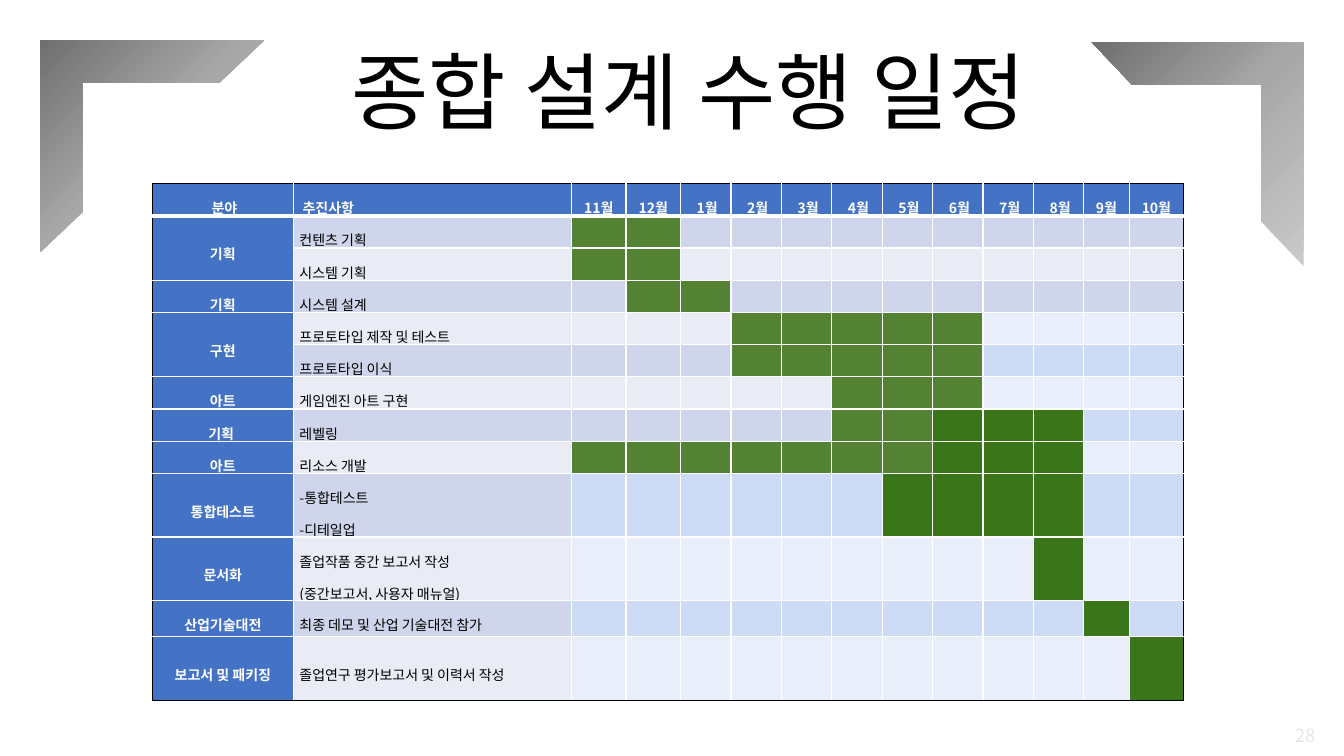
from lxml import etree
from pptx import Presentation
from pptx import util as u
from pptx.dml.color import RGBColor
from pptx.enum import shapes, text
from pptx.oxml import ns

FONT = "Noto Sans CJK KR"
BLUE, WHITE, BLACK = "4472C4", "FFFFFF", "000000"
LIGHT_GREEN, DARK_GREEN = "548235", "3B7519"
CENTER, JUSTIFY, RIGHT = text.PP_ALIGN.CENTER, text.PP_ALIGN.JUSTIFY, text.PP_ALIGN.RIGHT


def color(value):
    return RGBColor.from_string(value)


def write(frame, lines, align, spacing, size, shade, bold=False, latin=FONT):
    for index, line in enumerate(lines):
        paragraph = frame.paragraphs[0] if index == 0 else frame.add_paragraph()
        for name, value in {"alignment": align, "line_spacing": spacing}.items():
            setattr(paragraph, name, value)
        run = paragraph.add_run()
        run.text = line
        for name, value in {"name": latin, "size": u.Pt(size), "bold": bold}.items():
            setattr(run.font, name, value)
        run.font.color.rgb = color(shade)
        properties = run.font._element
        etree.SubElement(properties, ns.qn("a:ea")).set("typeface", FONT)


presentation = Presentation()
presentation.slide_width = u.Inches(13.33)
presentation.slide_height = u.Inches(7.5)
slide = presentation.slides.add_slide(presentation.slide_layouts[6])

for left, top, rotation in [(0.4, 0.4, 0), (10.77, 0.48, 90)]:
    corner = slide.shapes.add_shape(shapes.MSO_SHAPE.HALF_FRAME, u.Inches(left), u.Inches(top),
                                    u.Inches(2.22), u.Inches(2.1))
    corner.rotation = rotation
    corner.shadow.inherit = False
    corner.adjustments[0], corner.adjustments[1] = 0.2, 0.2
    corner.line.fill.background()
    corner.fill.gradient()
    gradient = corner.fill._xPr.find(ns.qn("a:gradFill"))
    gradient.set("rotWithShape", "0")
    for child in list(gradient):
        gradient.remove(child)
    stops = etree.SubElement(gradient, ns.qn("a:gsLst"))
    for position, shade in [(0, "6F6F6F"), (48, "A8A8A8"), (100, "C9C9C9")]:
        stop = etree.SubElement(stops, ns.qn("a:gs"), pos=str(position * 1000))
        etree.SubElement(stop, ns.qn("a:srgbClr"), val=shade)
    circle = etree.SubElement(gradient, ns.qn("a:path"), path="circle")
    etree.SubElement(circle, ns.qn("a:fillToRect"), r="100000", b="100000")

for left, top, width, height, line, align, spacing, size, shade, latin in [
    (2.48, 0.78, 8.7, 0.66, "종합 설계 수행 일정", CENTER, 0.5, 60, BLACK, "Arial"),
    (12.15, 7.14, 1, 0.36, "28", RIGHT, 1, 13, "E7E6E6", FONT),
]:
    box = slide.shapes.add_textbox(u.Inches(left), u.Inches(top), u.Inches(width), u.Inches(height))
    box.text_frame.word_wrap = True
    write(box.text_frame, [line], align, spacing, size, shade, latin=latin)

header = [" 분야", " 추진사항", "11월", "12월"]
header += [f" {month}월" for month in range(1, 9)] + ["9월", "10월"]

# field, tasks, first month, first dark month, end month, first blue month
schedule = [
    ("기획", ["컨텐츠 기획"], 0, 2, 2, 12),
    ("", ["시스템 기획"], 0, 2, 2, 12),
    ("기획", ["시스템 설계"], 1, 3, 3, 12),
    ("구현", ["프로토타입 제작 및 테스트"], 3, 8, 8, 8),
    ("", ["프로토타입 이식"], 3, 8, 8, 8),
    ("아트", ["게임엔진 아트 구현"], 5, 8, 8, 8),
    ("기획 ", ["레벨링"], 5, 7, 10, 10),
    ("아트", ["리소스 개발"], 0, 7, 10, 10),
    ("통합테스트", ["-통합테스트", "-디테일업"], 6, 6, 10, 0),
    ("문서화", ["졸업작품 중간 보고서 작성", "(중간보고서, 사용자 매뉴얼)"], 9, 9, 10, 0),
    ("산업기술대전", ["최종 데모 및 산업 기술대전 참가 "], 10, 10, 11, 0),
    ("보고서 및 패키징", ["졸업연구 평가보고서 및 이력서 작성"], 11, 11, 12, 0),
]
column_widths = [1.4, 2.76] + [0.54] * 2 + [0.5] * 8 + [0.45, 0.54]
row_heights = [0.32] * 9 + [0.63, 0.63, 0.36, 0.63]
last_row, last_column = len(row_heights) - 1, len(column_widths) - 1

table = slide.shapes.add_table(len(row_heights), len(column_widths), u.Inches(1.51), u.Inches(1.82),
                               u.Inches(10.24), u.Inches(5.1)).table
for column, width in zip(table.columns, column_widths):
    column.width = u.Inches(width)
for row, height in zip(table.rows, row_heights):
    row.height = u.Inches(height)
for row in (1, 4):
    table.cell(row, 0).merge(table.cell(row + 1, 0))

for row in range(last_row + 1):
    for column in range(last_column + 1):
        cell = table.cell(row, column)
        for name, value in {"margin_left": 0.06, "margin_right": 0.06,
                            "margin_top": 0.02, "margin_bottom": 0.02}.items():
            setattr(cell, name, u.Inches(value))
        cell.vertical_anchor = text.MSO_ANCHOR.MIDDLE

        lines, fill, month = [], BLUE, column - 2
        if row == 0:
            lines = [header[column]]
        else:
            field, tasks, first, dark, end, blue = schedule[row - 1]
            neutral_band, blue_band = ("CFD5EA", "CDDBF5") if row % 2 else ("E9EBF5", "E8EEFA")
            if column == 0:
                lines = [field] if field else []
            elif column == 1:
                lines, fill = tasks, neutral_band
            elif first <= month < end:
                fill = DARK_GREEN if month >= dark else LIGHT_GREEN
            else:
                fill = blue_band if month >= blue else neutral_band
        heading = row == 0 or column == 0
        write(cell.text_frame, lines, JUSTIFY if column == 1 else CENTER, 1.6, 10,
              WHITE if heading else BLACK, heading)
        if not lines:
            etree.SubElement(cell.text_frame.paragraphs[0]._p, ns.qn("a:endParaRPr"), sz="1000")

        properties = cell._tc.get_or_add_tcPr()
        for side, outer, thick in [("L", column == 0, False), ("R", column == last_column, False),
                                   ("T", row == 0, row == 1), ("B", row == last_row, row == 0)]:
            border = etree.SubElement(properties, ns.qn(f"a:ln{side}"), w=str(u.Pt(3 if thick else 1)))
            solid = etree.SubElement(border, ns.qn("a:solidFill"))
            etree.SubElement(solid, ns.qn("a:srgbClr"), val=BLACK if outer else WHITE)
        cell.fill.solid()
        cell.fill.fore_color.rgb = color(fill)

presentation.save("out.pptx")
